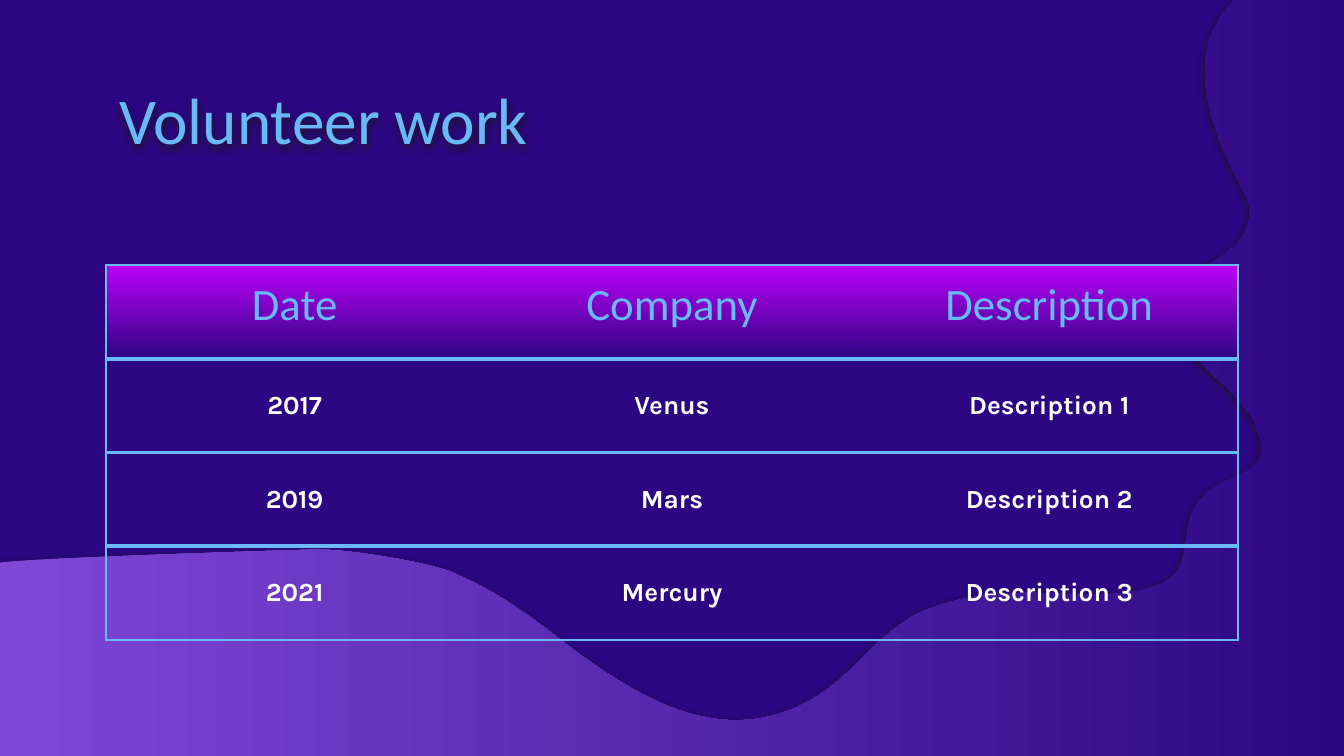
from lxml.etree import SubElement
from pptx import Presentation
from pptx.dml.color import RGBColor
from pptx.enum.text import MSO_ANCHOR, MSO_AUTO_SIZE, PP_ALIGN
from pptx.oxml.ns import qn
from pptx.util import Pt

PX = 914400 / 134.4  # EMU in one px
NIGHT = RGBColor(0x2D, 0x06, 0x83)
VIOLET = RGBColor(0x7F, 0x48, 0xD7)
PINK = RGBColor(0xBC, 0x00, 0xF9)
SKY = RGBColor(0x6A, 0xB9, 0xF7)
WHITE = RGBColor(0xFF, 0xFF, 0xFF)
SHADE = RGBColor(0x19, 0x19, 0x19)

TITLE = {"name": "Calibri", "size": Pt(35), "bold": False}
HEAD = {"name": "Calibri", "size": Pt(24), "bold": False}
BODY = {"name": "Karla", "size": Pt(14), "bold": True}

# Wave edge: a start, then two control points and an end for each curve
START = (304, 550)
EDGE = [
    ((331, 548), (370, 554), (398, 559)),
    ((415, 562), (433, 566), (449, 571)),
    ((465, 578), (480, 585), (495, 594)),
    ((526, 612), (551, 633), (578, 653)),
    ((632, 692), (699, 734), (771, 716)),
    ((804, 708), (828, 691), (849, 671)),
    ((870, 650), (890, 629), (917, 614)),
    ((953, 597), (993, 593), (1034, 593)),
    ((1071, 594), (1111, 598), (1148, 589)),
    ((1159, 586), (1169, 581), (1176, 573)),
    ((1181, 566), (1184, 558), (1185, 550)),
    ((1188, 528), (1189, 507), (1210, 491)),
    ((1218, 485), (1227, 481), (1236, 477)),
    ((1245, 473), (1251, 470), (1257, 464)),
    ((1262, 457), (1262, 449), (1261, 441)),
    ((1258, 429), (1254, 418), (1246, 409)),
    ((1230, 388), (1208, 372), (1191, 352)),
    ((1175, 335), (1159, 309), (1176, 288)),
    ((1183, 277), (1196, 271), (1208, 265)),
    ((1220, 258), (1231, 251), (1239, 242)),
    ((1249, 230), (1251, 218), (1249, 204)),
    ((1245, 190), (1235, 177), (1230, 164)),
    ((1206, 112), (1187, 46), (1235, 0)),
]
# Straight sides, then the last curve back to the start
SIDES = [((1351, 0),), ((1351, 814),), ((-7, 814),), ((-1, 563),)]
CLOSE = [((8, 559), (294, 550), START)]

ROWS = [
    ("Date", "Company", "Description"),
    ("2017", "Venus", "Description 1"),
    ("2019", "Mars", "Description 2"),
    ("2021", "Mercury", "Description 3"),
]


def emu(*sizes):
    return [round(size * PX) for size in sizes]


class Deck:
    def __init__(self, wide, high):
        self.show = Presentation()
        self.show.slide_width, self.show.slide_height = emu(wide, high)
        self.slide = self.show.slides.add_slide(self.show.slide_layouts[5])
        fill = self.slide.background.fill
        fill.solid()
        fill.fore_color.rgb = NIGHT

    def style(self, font, form, color):
        for key, value in form.items():
            setattr(font, key, value)
        font.color.rgb = color

    def inset(self, area):
        for side in ("left", "top", "right", "bottom"):
            setattr(area, "margin_" + side, emu(13)[0])

    def blend(self, fill, first, last, angle):
        fill.gradient()
        fill.gradient_angle = angle
        for stop, color, place in zip(fill.gradient_stops, (first, last), (0, 1)):
            stop.color.rgb = color
            stop.position = place

    def shadow(self, shape):
        shape.shadow.inherit = False
        effects = shape._element.spPr.find(qn("a:effectLst"))
        outer = SubElement(effects, qn("a:outerShdw"), blurRad=str(Pt(4.5)),
                           dist=str(Pt(1.5)), dir="5400000",
                           algn="bl", rotWithShape="0")
        color = SubElement(outer, qn("a:srgbClr"), val=str(SHADE))
        SubElement(color, qn("a:alpha"), val="90000")

    def wave(self, start, parts):
        ends = [part[-1] for part in parts]
        left, top = (min(axis) for axis in zip(*ends))
        pen = self.slide.shapes.build_freeform(*start, scale=PX)
        pen.add_line_segments(ends, close=True)
        shape = pen.convert_to_shape()
        # Turn the straight steps into curves
        outline = next(shape._element.iter(qn("a:path")))
        for step in list(outline):
            outline.remove(step)
        for part in [(start,)] + parts:
            kind = "cubicBezTo" if len(part) == 3 else "lnTo"
            step = SubElement(outline, qn("a:" + (kind if len(outline) else "moveTo")))
            for x, y in part:
                SubElement(step, qn("a:pt"), x=str(x - left), y=str(y - top))
        SubElement(outline, qn("a:close"))
        self.blend(shape.fill, VIOLET, NIGHT, 0)
        shape.line.fill.background()
        self.shadow(shape)
        # Behind the title
        self.slide.shapes._spTree.insert(2, shape._element)

    def title(self, text, *box):
        shape = self.slide.shapes.title
        shape.left, shape.top, shape.width, shape.height = emu(*box)
        frame = shape.text_frame
        frame.text = text
        frame.auto_size = MSO_AUTO_SIZE.NONE
        frame.vertical_anchor = MSO_ANCHOR.TOP
        self.inset(frame)
        line = frame.paragraphs[0]
        line.alignment = PP_ALIGN.LEFT
        self.style(line.runs[0].font, TITLE, SKY)
        self.shadow(shape)

    def border(self, cell, sides):
        props = cell._tc.get_or_add_tcPr()
        for side, width in sides.items():
            line = SubElement(props, qn("a:ln" + side), w=str(Pt(width)))
            if width:
                fill = SubElement(line, qn("a:solidFill"))
                SubElement(fill, qn("a:srgbClr"), val=str(SKY))
            else:
                SubElement(line, qn("a:noFill"))

    def table(self, rows, *box):
        high, wide = len(rows), len(rows[0])
        grid = self.slide.shapes.add_table(high, wide, *emu(*box)).table
        grid.horz_banding = False
        for i, row in enumerate(rows):
            for j, text in enumerate(row):
                cell = grid.cell(i, j)
                # Thin outer frame, thicker rules between rows
                self.border(cell, {
                    "L": 0 if j else 1.5,
                    "R": 1.5 if j == wide - 1 else 0,
                    "T": 2.25 if i else 1.5,
                    "B": 1.5 if i == high - 1 else 2.25})
                self.inset(cell)
                cell.text = text
                line = cell.text_frame.paragraphs[0]
                line.alignment = PP_ALIGN.CENTER
                font = line.runs[0].font
                if i:
                    cell.vertical_anchor = MSO_ANCHOR.MIDDLE
                    cell.fill.background()
                    self.style(font, BODY, WHITE)
                else:
                    cell.vertical_anchor = MSO_ANCHOR.TOP
                    self.blend(cell.fill, PINK, NIGHT, 270)
                    self.style(font, HEAD, SKY)


def main():
    deck = Deck(1344, 756)
    # Background wave
    deck.wave(START, EDGE + SIDES + CLOSE)
    # Content
    deck.title("Volunteer work", 106, 66, 1132, 85)
    deck.table(ROWS, 106, 265, 1132, 375)
    deck.show.save("out.pptx")


if __name__ == "__main__":
    main()
